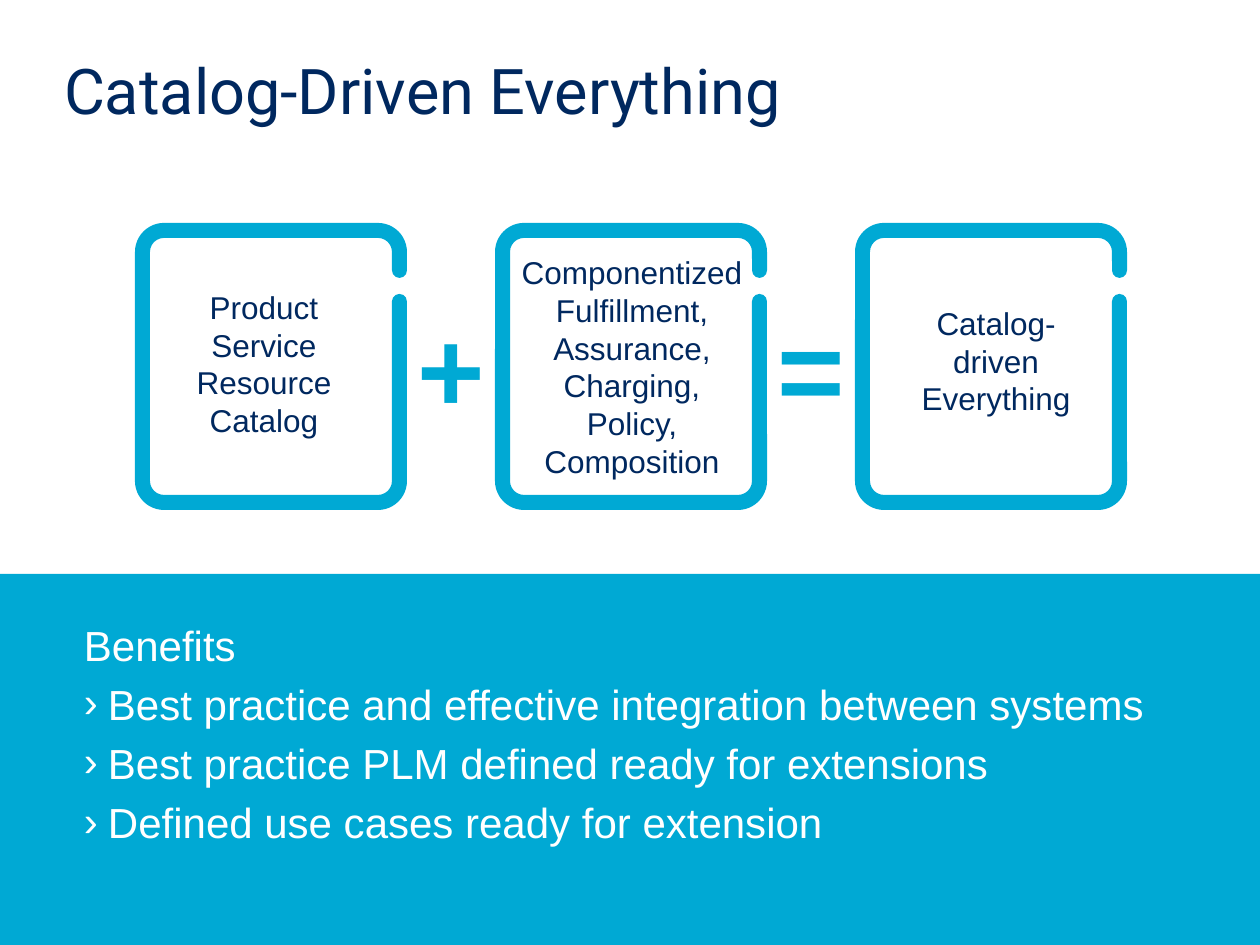
import math
from lxml import etree
from pptx import Presentation
from pptx import util as u
from pptx.dml.color import RGBColor
from pptx.enum import shapes, text
from pptx.oxml.ns import qn

# Content
TITLE = "Catalog-Driven Everything"
# Lines of each frame's label, then the label's left and top
FRAMES = [
    (["Product", "Service", "Resource", "Catalog"], 128, 220),
    (["Componentized Fulfillment, Assurance, Charging,", "Policy, Composition"], 496, 223),
    (["Catalog-", "driven", "Everything"], 860, 217),
]
SIGNS = ["+", "="]
BENEFITS_HEAD = "Benefits"
BENEFITS = [
    "Best practice and effective integration between systems",
    "Best practice PLM defined ready for extensions",
    "Defined use cases ready for extension",
]
COLORS = {"cyan": "00A9D4", "navy": "00285F", "white": "FFFFFF"}

# Layout in px
SCALE = 914400 / 126
FRAME_X, FRAME_Y, FRAME_W, FRAME_H, FRAME_STEP = 135, 223, 272, 287, 360
RADIUS, THICK = 29, 15
GAP_TOP, GAP_BOTTOM = 55, 71
SIGN_X, SIGN_Y, SIGN_W, SIGN_H = 395, 307, 112, 118


def px(n):
    return u.Emu(round(n * SCALE))


def rgb(name):
    return RGBColor.from_string(COLORS[name])


def paint(sp):
    sp.shadow.inherit = False
    sp.fill.solid()
    sp.fill.fore_color.rgb = rgb("cyan")
    sp.line.fill.background()


def add_box(s, x, y, w, h, anchor=text.MSO_ANCHOR.MIDDLE, side=0):
    tf = s.shapes.add_textbox(px(x), px(y), px(w), px(h)).text_frame
    tf.word_wrap = True
    tf.vertical_anchor = anchor
    tf.margin_left = tf.margin_right = px(side)
    tf.margin_top = tf.margin_bottom = 0
    return tf


def write(p, lines, size, color, font="Arial", bold=False, align=text.PP_ALIGN.LEFT):
    p.alignment = align
    for i, line in enumerate(lines):
        if i:
            p.add_line_break()
        r = p.add_run()
        r.text = line
        r.font.name, r.font.size, r.font.bold = font, u.Pt(size), bold
        r.font.color.rgb = rgb(color)


def add_bullet(p, char):
    pPr = p._p.get_or_add_pPr()
    pPr.set("marL", str(px(24)))
    pPr.set("indent", str(-px(24)))
    clr = etree.SubElement(pPr, qn("a:buClr"))
    etree.SubElement(clr, qn("a:srgbClr"), val=COLORS["white"])
    etree.SubElement(pPr, qn("a:buFont"), typeface="Arial")
    etree.SubElement(pPr, qn("a:buChar"), char=char)


def frame_arcs():
    """Arcs (cx, cy, radius, start, sweep) of a ring that is open on the right."""
    left, top, right, bottom = RADIUS, RADIUS, FRAME_W - RADIUS, FRAME_H - RADIUS
    corners = [(right, bottom, 0), (left, bottom, 90), (left, top, 180), (right, top, 270)]
    cap, mid = THICK / 2, FRAME_W - THICK / 2
    arcs = [(mid, GAP_BOTTOM + cap, cap, 180, 180)]
    arcs += [(cx, cy, RADIUS, a, 90) for cx, cy, a in corners]
    arcs += [(mid, GAP_TOP - cap, cap, 0, 180)]
    arcs += [(cx, cy, RADIUS - THICK, a + 90, -90) for cx, cy, a in reversed(corners)]
    return arcs


def add_frame(s, x, y):
    arcs = frame_arcs()
    points = []
    for cx, cy, r, start, sweep in arcs:
        for a in (math.radians(start), math.radians(start + sweep)):
            points.append((px(x + cx + r * math.cos(a)), px(y + cy + r * math.sin(a))))
    fb = s.shapes.build_freeform(*points[0])
    fb.add_line_segments(points[1:], close=True)
    sp = fb.convert_to_shape()
    # Every other segment is an arc
    segments = list(sp._element.iter(qn("a:lnTo")))[::2]
    for seg, (cx, cy, r, start, sweep) in zip(segments, arcs):
        arc = etree.Element(qn("a:arcTo"), wR=str(px(r)), hR=str(px(r)),
                            stAng=str(start * 60000), swAng=str(sweep * 60000))
        seg.getparent().replace(seg, arc)
    paint(sp)


def main():
    prs = Presentation()
    prs.slide_width, prs.slide_height = px(1260), px(945)
    s = prs.slides.add_slide(prs.slide_layouts[6])

    # Lower band
    paint(s.shapes.add_shape(shapes.MSO_SHAPE.RECTANGLE, 0, px(574), px(1260), px(371)))

    # Title
    p = add_box(s, 54, 23, 1168, 150, side=10).paragraphs[0]
    p.line_spacing = 0.75
    write(p, [TITLE], 36, "navy", "Roboto")

    # Frames with labels
    center = text.PP_ALIGN.CENTER
    for i, (lines, x, y) in enumerate(FRAMES):
        add_frame(s, FRAME_X + i * FRAME_STEP, FRAME_Y)
        tf = add_box(s, x, y, FRAME_W, FRAME_H)
        write(tf.paragraphs[0], lines, 18, "navy", align=center)

    # Signs between the frames
    for i, sign in enumerate(SIGNS):
        tf = add_box(s, SIGN_X + i * FRAME_STEP, SIGN_Y, SIGN_W, SIGN_H)
        write(tf.paragraphs[0], [sign], 66, "cyan", bold=True, align=center)

    # Benefits
    tf = add_box(s, 74, 619, 1135, 273, text.MSO_ANCHOR.TOP, side=10)
    write(tf.paragraphs[0], [BENEFITS_HEAD], 24, "white")
    for line in BENEFITS:
        p = tf.add_paragraph()
        p.space_before = u.Pt(5)
        add_bullet(p, "›")
        write(p, [line], 24, "white")

    prs.save("out.pptx")


if __name__ == "__main__":
    main()
